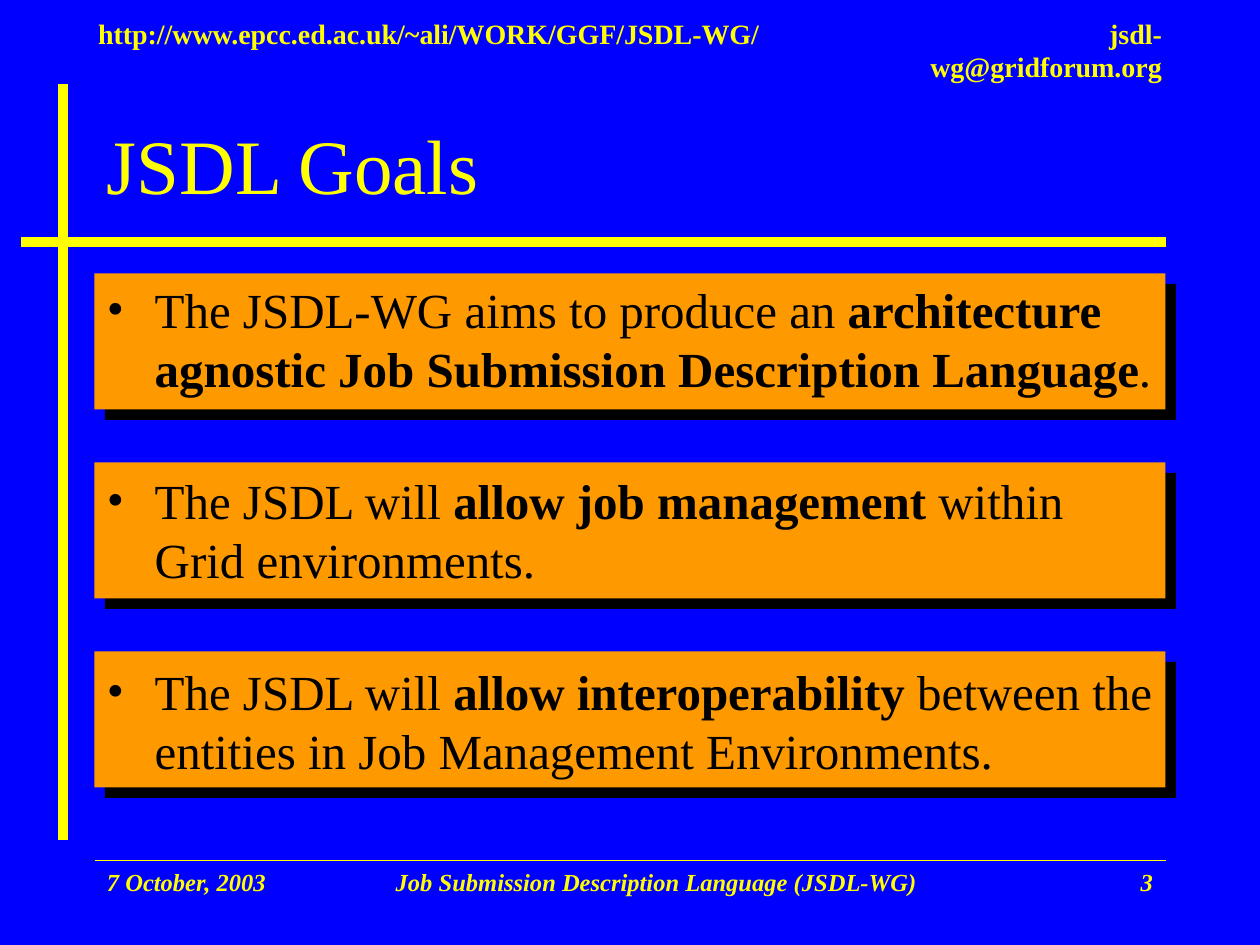
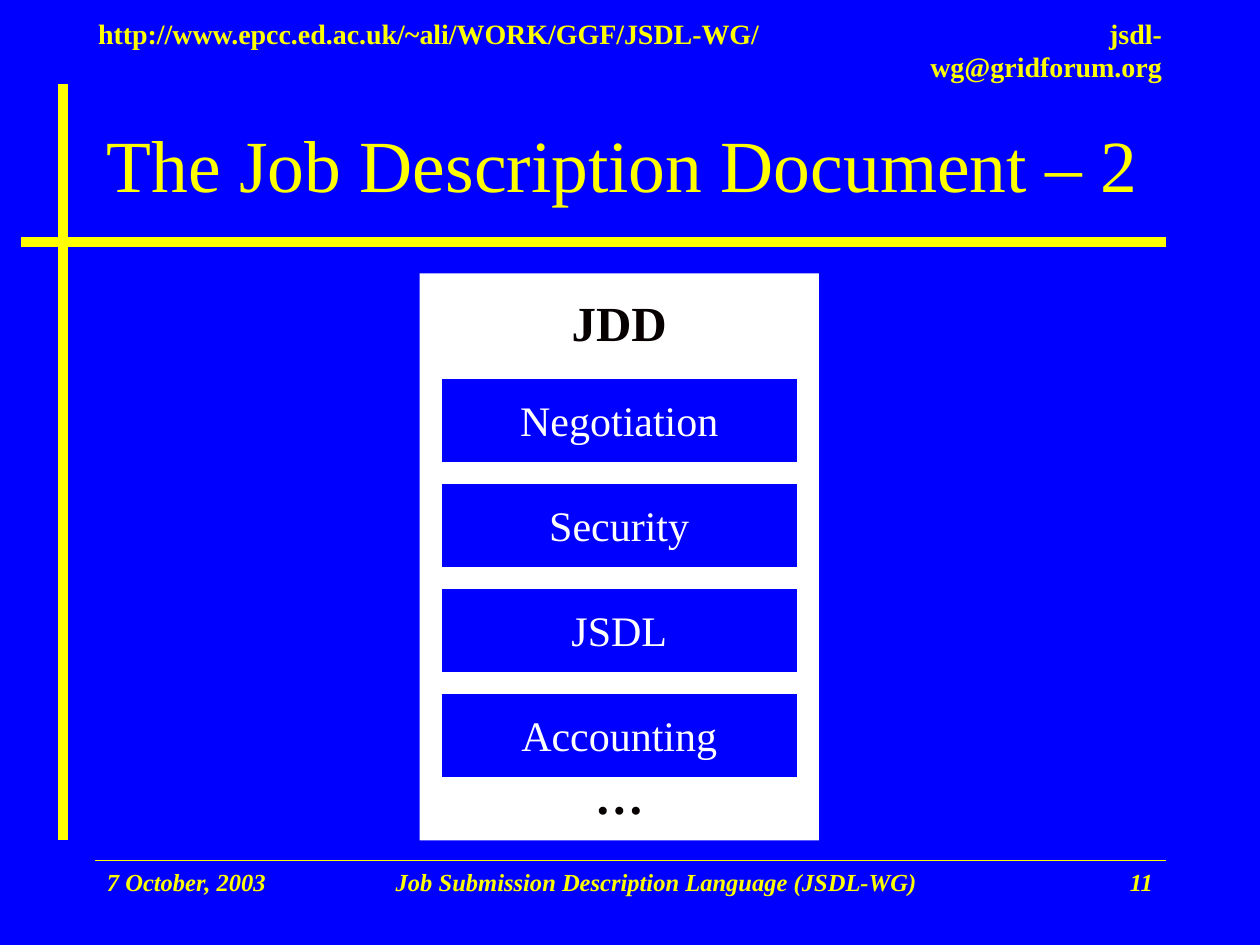
from lxml.etree import SubElement
from pptx import Presentation
from pptx.dml.color import RGBColor
from pptx.enum.shapes import MSO_CONNECTOR as Connector, MSO_SHAPE as Shape
from pptx.enum.text import MSO_ANCHOR as Anchor, MSO_AUTO_SIZE as AutoSize, PP_ALIGN as Align
from pptx.oxml.ns import qn
from pptx.util import Inches, Pt

BLUE, YELLOW, ORANGE = "0000FF", "FFFF00", "FF9900"
WHITE, BLACK, INK = "FFFFFF", "000000", "060000"
FONT = "Times New Roman"
LEFT, WIDTH = 0.75, 8.5
BODY_TOP, BODY_HEIGHT = 2.17, 4.5
FOOTER_TOP, FOOTER_HEIGHT = 6.83, 0.5

GOALS = [
    ("The JSDL-WG aims to produce an ",
     "architecture agnostic Job Submission Description Language", "."),
    ("The JSDL will ", "allow job management", " within Grid environments."),
    ("The JSDL will ", "allow interoperability",
     " between the entities in Job Management Environments."),
]
SECTIONS = ["Negotiation", "Security", "JSDL", "Accounting"]


def rgb(value):
    """Return the colour for a hex string."""
    return RGBColor.from_string(value)


def style(font, size, colour, bold=False, italic=False):
    """Set the typeface, size, colour and weight of a font."""
    font.name, font.size = FONT, Pt(size)
    font.color.rgb = rgb(colour)
    font.bold, font.italic = bold, italic


def add_line(page, start, end, weight):
    """Draw a flat yellow line between two points."""
    line = page.shapes.add_connector(Connector.STRAIGHT, *map(Inches, start + end))
    line.line.color.rgb = rgb(YELLOW)
    line.line.width = Pt(weight)
    SubElement(line._element.spPr, qn("a:effectLst"))


def add_text(page, box, text, size, colour, align=Align.LEFT, anchor=Anchor.TOP,
             wrap=True, **weight):
    """Add a text box holding one paragraph."""
    frame = page.shapes.add_textbox(*map(Inches, box)).text_frame
    frame.word_wrap = wrap
    frame.auto_size = AutoSize.NONE if wrap else AutoSize.SHAPE_TO_FIT_TEXT
    frame.vertical_anchor = anchor
    frame.text = text
    para = frame.paragraphs[0]
    para.alignment = align
    style(para.runs[0].font, size, colour, **weight)


def add_rectangle(page, box, fill):
    """Add a plain filled rectangle without outline or shadow."""
    rectangle = page.shapes.add_shape(Shape.RECTANGLE, *map(Inches, box))
    rectangle.shadow.inherit = False
    rectangle.fill.solid()
    rectangle.fill.fore_color.rgb = rgb(fill)
    rectangle.line.fill.background()
    return rectangle


def add_hard_shadow(shape):
    """Give a shape a solid black shadow to the lower right."""
    effects = shape._element.spPr.find(qn("a:effectLst"))
    shadow = SubElement(effects, qn("a:outerShdw"), dist=str(Pt(8.5)), dir="2700000",
                        algn="ctr", rotWithShape="0")
    SubElement(shadow, qn("a:srgbClr"), val=BLACK)


def add_bullet(para):
    """Give a paragraph a round black bullet and a hanging indent."""
    props = para._p.get_or_add_pPr()
    props.set("marL", str(Inches(0.38)))
    props.set("indent", str(Inches(-0.38)))
    SubElement(SubElement(props, qn("a:buClr")), qn("a:srgbClr"), val=BLACK)
    SubElement(props, qn("a:buFont"), typeface=FONT)
    SubElement(props, qn("a:buChar"), char="•")


def add_header(page):
    """Add the web and mail addresses along the top."""
    add_text(page, (0.68, 0.08, 5.46, 0.37), "http://www.epcc.ed.ac.uk/~ali/WORK/GGF/JSDL-WG/",
             16, YELLOW, wrap=False, bold=True)
    add_text(page, (6.87, 0.08, 2.45, 0.37), "jsdl-wg@gridforum.org",
             16, YELLOW, Align.RIGHT, wrap=False, bold=True)


def add_footer(page, number):
    """Add the rule, date, group name and page number along the bottom."""
    add_line(page, (LEFT, FOOTER_TOP), (LEFT + WIDTH, FOOTER_TOP), 1)
    parts = [
        (LEFT, 2.08, "7 October, 2003", Align.LEFT),
        (2.92, 4.58, "Job Submission Description Language (JSDL-WG)", Align.CENTER),
        (7.58, 1.67, str(number), Align.RIGHT),
    ]
    for left, width, text, align in parts:
        add_text(page, (left, FOOTER_TOP, width, FOOTER_HEIGHT), text, 14, YELLOW, align,
                 bold=True, italic=True)


def add_page(deck, title, title_size, number):
    """Add a blue page with its crossed bars, header, title and footer."""
    page = deck.slides.add_slide(deck.slide_layouts[6])
    page.background.fill.solid()
    page.background.fill.fore_color.rgb = rgb(BLUE)
    add_line(page, (0.5, 6.67), (0.5, 0.67), 6)
    add_line(page, (0.17, 1.92), (LEFT + WIDTH, 1.92), 6)
    add_header(page)
    add_text(page, (LEFT, 0.67, WIDTH, 1.25), title, title_size, YELLOW, anchor=Anchor.MIDDLE)
    add_footer(page, number)
    return page


def add_goals(page, box):
    """Add the bulleted goals over a column of shadowed cards."""
    left, top, width, height = box
    for index in range(len(GOALS)):
        card = add_rectangle(page, (left, top + index * height / len(GOALS), width, 1.08), ORANGE)
        add_hard_shadow(card)
    frame = page.shapes.add_textbox(*map(Inches, box)).text_frame
    frame.word_wrap = True
    for index, goal in enumerate(GOALS):
        para = frame.add_paragraph() if index else frame.paragraphs[0]
        para.space_before = Pt(7 if index else 0)
        para.space_after = Pt(35)
        add_bullet(para)
        for position, text in enumerate(goal):
            span = para.add_run()
            span.text = text
            style(span.font, 28, BLACK, bold=position == 1)


def add_document(page, box):
    """Add the white document panel with its stacked sections."""
    left, top, width, height = box
    margin, pitch = 0.17, 2.5 / 3
    add_rectangle(page, box, WHITE)
    for index, name in enumerate(SECTIONS):
        section = add_rectangle(page, (left + margin, top + 0.83 + index * pitch,
                                       width - 2 * margin, 0.67), BLUE)
        section.line.color.rgb = rgb(WHITE)
        section.line.width = Pt(0.75)
        frame = section.text_frame
        frame.text = name
        frame.word_wrap = False
        frame.vertical_anchor = Anchor.MIDDLE
        frame.paragraphs[0].alignment = Align.CENTER
        style(frame.paragraphs[0].runs[0].font, 24, WHITE)
    for offset, text in [(0.1, "JDD"), (height - 0.64, "…")]:
        add_text(page, (left, top + offset, width, 0.57), text, 28, INK, Align.CENTER, bold=True)


def main():
    """Build both slides and save the deck."""
    deck = Presentation()
    deck.slide_width, deck.slide_height = Inches(10), Inches(7.5)
    add_goals(add_page(deck, "JSDL Goals", 44, 3), (LEFT, BODY_TOP, WIDTH, BODY_HEIGHT))
    add_document(add_page(deck, "The Job Description Document – 2", 42, 11),
                 (3.33, BODY_TOP, 3.17, BODY_HEIGHT))
    deck.save("out.pptx")


if __name__ == "__main__":
    main()
